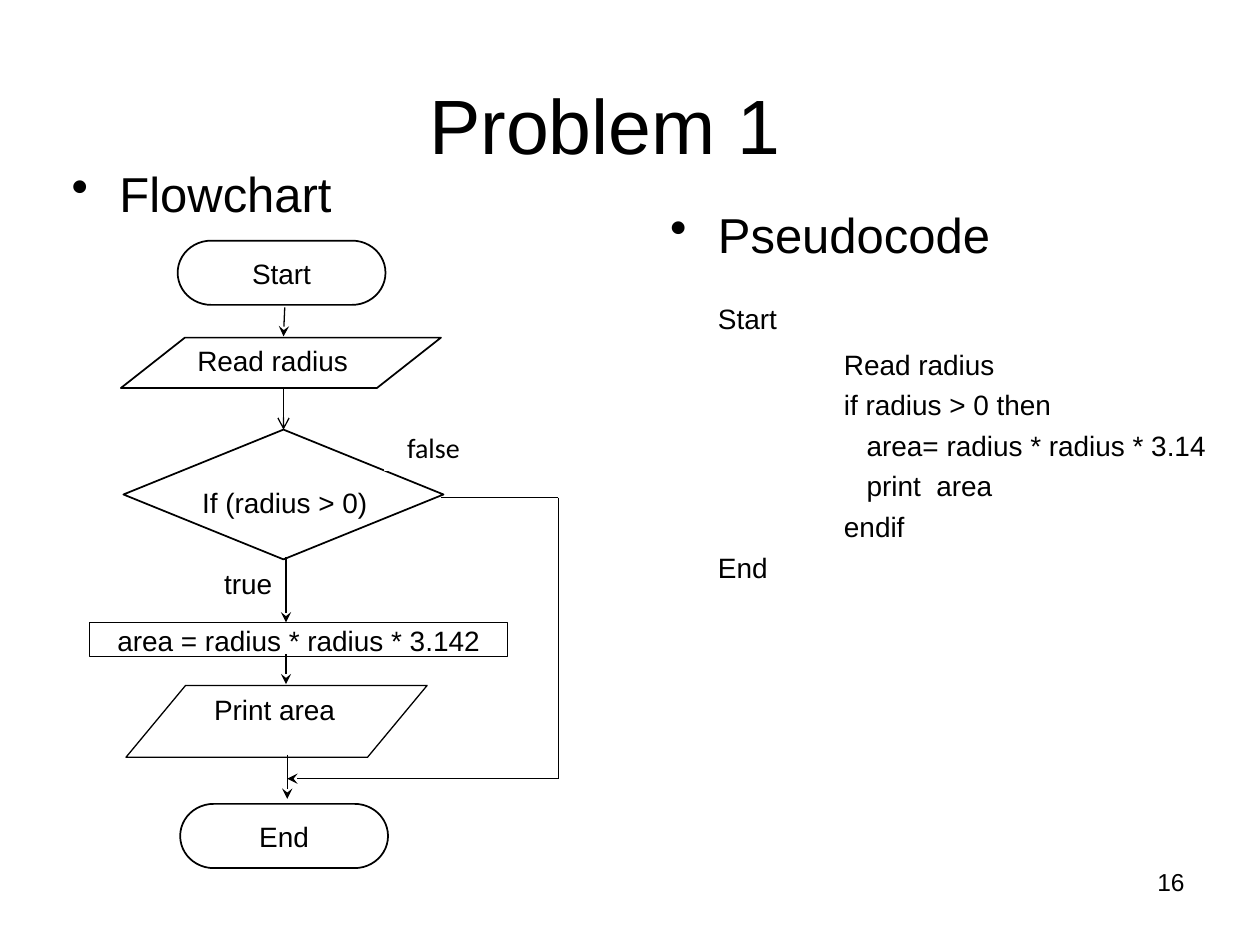
import pptx
import pptx.util
import pptx.dml.color
import pptx.enum.shapes
import pptx.enum.text
import pptx.oxml.ns
from dataclasses import dataclass
from lxml import etree

Inches = pptx.util.Inches
Pt = pptx.util.Pt
Shape = pptx.enum.shapes.MSO_SHAPE
Align = pptx.enum.text.PP_ALIGN
Anchor = pptx.enum.text.MSO_ANCHOR
qn = pptx.oxml.ns.qn


@dataclass
class Theme:
    ink: str = "000000"
    paper: str = "FFFFFF"
    font: str = "Arial"
    alt: str = "Calibri"
    title: int = 44
    head: int = 28
    body: int = 16
    page: int = 14
    thin: float = 0.75
    bold: float = 1


THEME = Theme()


def tint(code):
    return pptx.dml.color.RGBColor.from_string(code)


def write(par, text, size=THEME.body, font=THEME.font, align=Align.LEFT,
          left=0, hang=0, before=0, bullet=None):
    props = par._p.get_or_add_pPr()
    props.set("marL", str(Inches(left)))
    props.set("indent", str(-Inches(hang)))
    par.alignment = align
    if before:
        par.space_before = Pt(before)
    if bullet:
        etree.SubElement(props, qn("a:buChar")).set("char", bullet)
    else:
        etree.SubElement(props, qn("a:buNone"))
    par.font.size = Pt(size)
    par.font.name = font
    par.font.color.rgb = tint(THEME.ink)
    par.add_run().text = text


class Board:
    def __init__(self, slide, theme):
        self.slide = slide
        self.theme = theme

    def title(self, text, *box):
        shape = self.slide.shapes.title
        shape.left, shape.top, shape.width, shape.height = map(Inches, box)
        shape.text_frame.vertical_anchor = Anchor.MIDDLE
        write(shape.text_frame.paragraphs[0], text,
              size=self.theme.title, align=Align.CENTER)

    def text(self, rows, *box, top=0.05):
        frame = self.slide.shapes.add_textbox(*map(Inches, box)).text_frame
        frame.word_wrap = True
        frame.margin_top = Inches(top)
        for i, (text, style) in enumerate(rows):
            par = frame.add_paragraph() if i else frame.paragraphs[0]
            write(par, text, **style)

    def node(self, kind, *box, text="", fill=None, line=None, width=None,
             pad=None, **style):
        shape = self.slide.shapes.add_shape(kind, *map(Inches, box))
        shape.shadow.inherit = False
        if fill:
            shape.fill.solid()
            shape.fill.fore_color.rgb = tint(fill)
        else:
            shape.fill.background()
        shape.line.color.rgb = tint(line or self.theme.ink)
        shape.line.width = Pt(width or self.theme.bold)
        if text:
            frame = shape.text_frame
            frame.vertical_anchor = Anchor.TOP
            if pad is not None:
                frame.margin_left = frame.margin_right = Inches(pad)
                frame.margin_top = frame.margin_bottom = Inches(pad)
            write(frame.paragraphs[0], text, **style)
        return shape

    def label(self, text, *box, line=None, font=None):
        self.node(Shape.RECTANGLE, *box, text=text, fill=self.theme.paper,
                  line=line or self.theme.paper, width=self.theme.thin,
                  pad=0.01, align=Align.CENTER, font=font or self.theme.font)

    def line(self, *ends, tip=None):
        wire = self.slide.shapes.add_connector(
            pptx.enum.shapes.MSO_CONNECTOR.STRAIGHT, *map(Inches, ends))
        wire.line.color.rgb = tint(self.theme.ink)
        wire.line.width = Pt(self.theme.thin)
        if tip:
            stroke = wire.line._get_or_add_ln()
            etree.SubElement(stroke, qn("a:tailEnd")).set("type", tip)
        etree.SubElement(wire._element.spPr, qn("a:effectLst"))
        return wire


def main():
    deck = pptx.Presentation()
    deck.slide_width, deck.slide_height = Inches(10), Inches(7.5)
    board = Board(deck.slides.add_slide(deck.slide_layouts[5]), THEME)

    head = dict(size=THEME.head, left=0.38, hang=0.38, bullet="•")
    outer, inner, deep = 0.38, 1.38, 1.56
    code = [
        ("Start", outer, 22),
        ("Read radius", inner, 7),
        ("if radius > 0 then", inner, 4),
        ("area= radius * radius * 3.14", deep, 4),
        ("print  area", deep, 4),
        ("endif", inner, 4),
        ("End", outer, 4),
    ]
    rows = [(text, dict(left=left, before=gap)) for text, left, gap in code]
    board.text([("Pseudocode", head)] + rows, 5.22, 1.51, 4.5, 4.95, top=0.11)
    board.text([("16", dict(size=THEME.page, align=Align.RIGHT))],
               7.17, 6.83, 2.33, 0.52)
    board.title("Problem 1", 0.3, 0.36, 9, 1.25)
    board.text([("Flowchart", head)], 0.47, 1.19, 4.5, 0.69, top=0.11)

    test = board.node(Shape.FLOWCHART_DECISION, 0.98, 3.41, 2.54, 1.03)
    board.line(2.25, 3.09, 2.25, 3.41, tip="arrow").end_connect(test, 0)
    for text, left, top in (("Start", 1.41, 1.91), ("End", 1.43, 6.38)):
        board.node(Shape.FLOWCHART_TERMINATOR, left, top, 1.65, 0.51,
                   text=text, align=Align.CENTER)
    board.node(Shape.FLOWCHART_DATA, 0.96, 2.68, 2.54, 0.4, text="Read radius")
    board.label("If (radius > 0)", 1.57, 3.84, 1.38, 0.28)
    board.label("true", 1.75, 4.49, 0.44, 0.26)
    board.label("false", 3.05, 3.41, 0.78, 0.32, font=THEME.alt)
    board.label("area = radius * radius * 3.142", 0.71, 4.94, 3.32, 0.27,
                line=THEME.ink)
    data = board.node(Shape.PARALLELOGRAM, 1, 5.44, 2.39, 0.57,
                      fill=THEME.paper, width=THEME.thin)
    data.adjustments[0] = 0.83
    board.text([("Print area", {})], 1.6, 5.45, 1.61, 0.62)

    for ends in (
        (2.26, 2.44, 2.25, 2.67),
        (2.27, 4.42, 2.27, 4.94),
        (2.27, 5.19, 2.27, 5.43),
        (2.28, 5.99, 2.28, 6.34),
        (4.43, 6.18, 2.28, 6.18),
    ):
        board.line(*ends, tip="stealth")
    board.line(4.43, 3.95, 3.5, 3.95)
    board.line(4.43, 3.95, 4.43, 6.18)

    deck.save("out.pptx")


if __name__ == "__main__":
    main()
